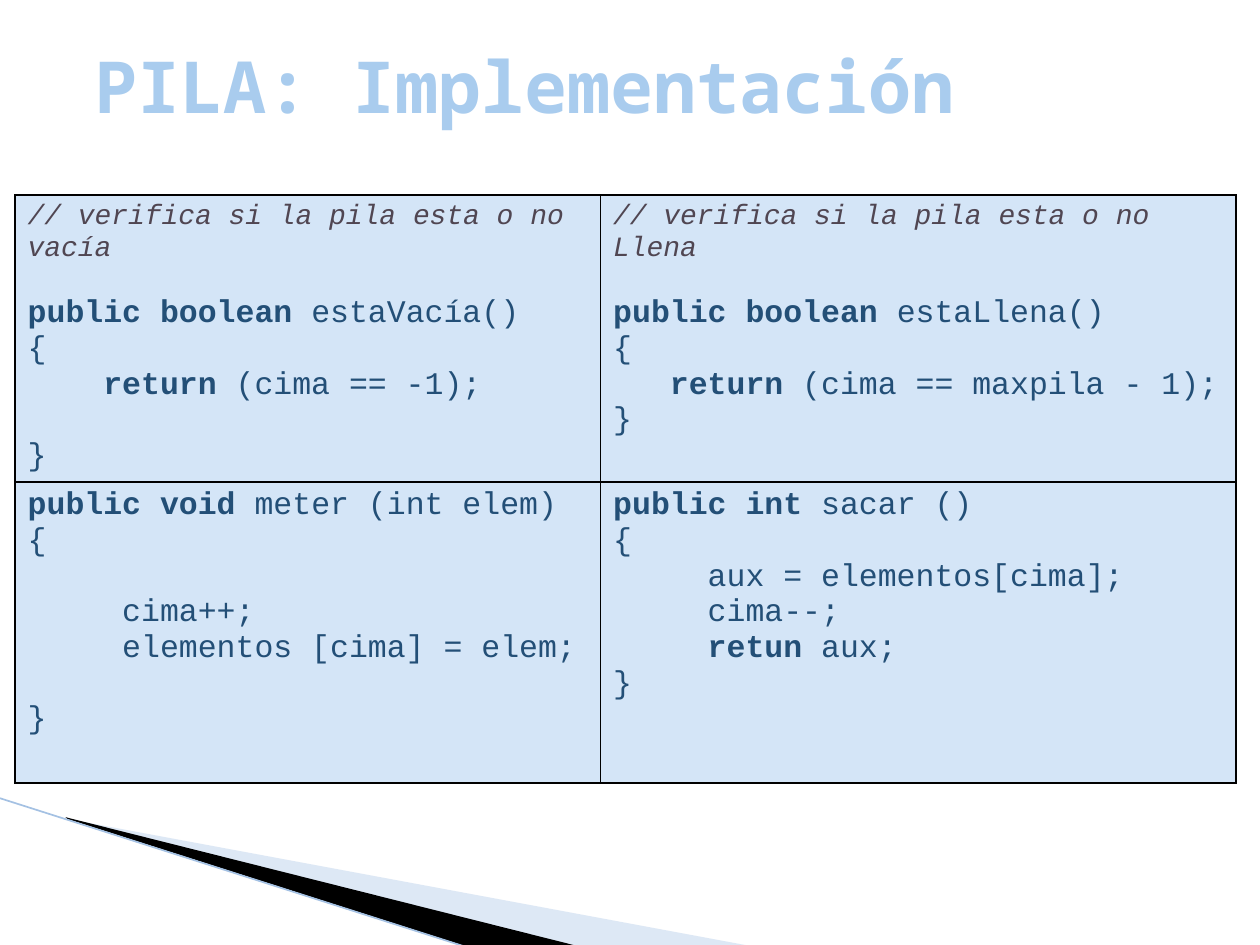
from lxml import etree
from pptx import Presentation
from pptx.dml.color import RGBColor
from pptx.enum.shapes import MSO_CONNECTOR
from pptx.enum.text import MSO_ANCHOR
from pptx.oxml.ns import qn
from pptx.util import Pt

STRAIGHT = MSO_CONNECTOR.STRAIGHT
MIDDLE = MSO_ANCHOR.MIDDLE

TITLE_BLUE = RGBColor(0xA9, 0xCC, 0xEE)
CELL_BLUE = RGBColor(0xD4, 0xE5, 0xF7)
CODE_BLUE = RGBColor(0x23, 0x4F, 0x77)
COMMENT = RGBColor(0x50, 0x46, 0x52)
WEDGE_BLUE = RGBColor(0xAB, 0xC6, 0xE6)
EDGE_BLUE = RGBColor(0xA4, 0xC1, 0xE3)
BLACK = RGBColor(0, 0, 0)

TITLE_FONT = dict(name="Noto Sans Mono", size=Pt(41), bold=True)
CODE_FONT = dict(name="Courier New", size=Pt(18), italic=False)
COMMENT_FONT = dict(name="Courier New", size=Pt(16), italic=True)
CHAR_WIDTH = 10.8
COMMENT_GAP = 18.1
CODE_GAP = 20.4

# Each line: (indent in characters, space before in points, bold part, plain part)
METHODS = [
    [("// verifica si la pila esta o no vacía", [
        (0, COMMENT_GAP, "public boolean ", "estaVacía()"),
        (0, 0, "", "{"),
        (4, 0, "return", " (cima == -1);"),
        (0, CODE_GAP, "", "}")]),
     ("// verifica si la pila esta o no Llena", [
         (0, COMMENT_GAP, "public boolean ", "estaLlena()"),
         (0, 0, "", "{"),
         (3, 0, "return", " (cima == maxpila - 1);"),
         (0, 0, "", "}")])],
    [("", [
        (0, 0, "public void ", "meter (int elem)"),
        (0, 0, "", "{"),
        (5, CODE_GAP, "", "cima++;"),
        (5, 0, "", "elementos [cima] = elem;"),
        (0, CODE_GAP, "", "}")]),
     ("", [
         (0, 0, "public int ", "sacar ()"),
         (0, 0, "", "{"),
         (5, 0, "", "aux = elementos[cima];"),
         (5, 0, "", "cima--;"),
         (5, 0, "retun ", "aux;"),
         (0, 0, "", "}")])],
]


def add_run(p, text, color, **fmt):
    r = p.add_run()
    r.text = text
    r.font.color.rgb = color
    for key, value in fmt.items():
        setattr(r.font, key, value)


def add_title(slide, text, left, top, width, height):
    tf = slide.shapes.add_textbox(Pt(left), Pt(top), Pt(width), Pt(height)).text_frame
    tf.word_wrap = True
    tf.vertical_anchor = MIDDLE
    add_run(tf.paragraphs[0], text, TITLE_BLUE, **TITLE_FONT)


def set_borders(cell):
    tc_pr = cell._tc.get_or_add_tcPr()
    for i, tag in enumerate(("a:lnL", "a:lnR", "a:lnT", "a:lnB")):
        ln = etree.Element(qn(tag), w=str(Pt(1)))
        fill = etree.SubElement(ln, qn("a:solidFill"))
        etree.SubElement(fill, qn("a:srgbClr"), val=str(BLACK))
        tc_pr.insert(i, ln)


def fill_cell(cell, comment, lines):
    cell.fill.solid()
    cell.fill.fore_color.rgb = CELL_BLUE
    set_borders(cell)
    tf = cell.text_frame
    p = tf.paragraphs[0]
    if comment:
        add_run(p, comment, COMMENT, **COMMENT_FONT)
        p = tf.add_paragraph()
    for i, (indent, gap, keyword, code) in enumerate(lines):
        if i:
            p = tf.add_paragraph()
        p.space_before = Pt(gap)
        p._p.get_or_add_pPr().set("marL", str(Pt(indent * CHAR_WIDTH)))
        if keyword:
            add_run(p, keyword, CODE_BLUE, bold=True, **CODE_FONT)
        add_run(p, code, CODE_BLUE, bold=False, **CODE_FONT)


def add_methods(slide, left, top, col_widths, row_heights):
    table = slide.shapes.add_table(
        len(row_heights), len(col_widths), Pt(left), Pt(top),
        Pt(sum(col_widths)), Pt(sum(row_heights))).table
    table.first_row = table.horz_banding = False
    for col, width in zip(table.columns, col_widths):
        col.width = Pt(width)
    for row, height, methods in zip(table.rows, row_heights, METHODS):
        row.height = Pt(height)
        for cell, (comment, lines) in zip(row.cells, methods):
            fill_cell(cell, comment, lines)


def add_wedge(slide, points, color, alpha=None):
    """Draw a filled outline; alpha is its opacity in percent."""
    start, *rest = [(Pt(x), Pt(y)) for x, y in points]
    builder = slide.shapes.build_freeform(*start)
    builder.add_line_segments(rest, close=True)
    s = builder.convert_to_shape()
    s.shadow.inherit = False
    s.line.fill.background()
    s.fill.solid()
    s.fill.fore_color.rgb = color
    if alpha:
        clr = s._element.spPr.find(".//" + qn("a:srgbClr"))
        etree.SubElement(clr, qn("a:alpha"), val=str(alpha * 1000))


def add_corner(slide, left, top, width, height):
    """Draw the swoosh that runs from the left edge to the bottom edge."""
    right, bottom = left + width, top + height
    tip_x, tip_y = left + 39, top + 12
    add_wedge(slide, [(tip_x, tip_y), (right, bottom), (right - 100, bottom)],
              WEDGE_BLUE, 40)
    add_wedge(slide, [(tip_x - 1, tip_y - 1), (right - 99, bottom),
                      (right - 160, bottom + 1), (tip_x, tip_y)], BLACK)
    edge = slide.shapes.add_connector(
        STRAIGHT, Pt(left), Pt(top), Pt(right - 161), Pt(bottom + 1))
    edge.line.color.rgb = EDGE_BLUE
    edge.line.width = Pt(0.95)
    etree.SubElement(edge._element.spPr, qn("a:effectLst"))


def main():
    prs = Presentation()
    prs.slide_width, prs.slide_height = Pt(720), Pt(540)
    slide = prs.slides.add_slide(prs.slide_layouts[6])
    add_corner(slide, -0.5, 456, 429, 84.5)
    add_methods(slide, 8.64, 111.5, [334.6, 363], [164, 172])
    add_title(slide, "PILA: Implementación", 46.8, 3.6, 648, 90)
    prs.save("out.pptx")


if __name__ == "__main__":
    main()
